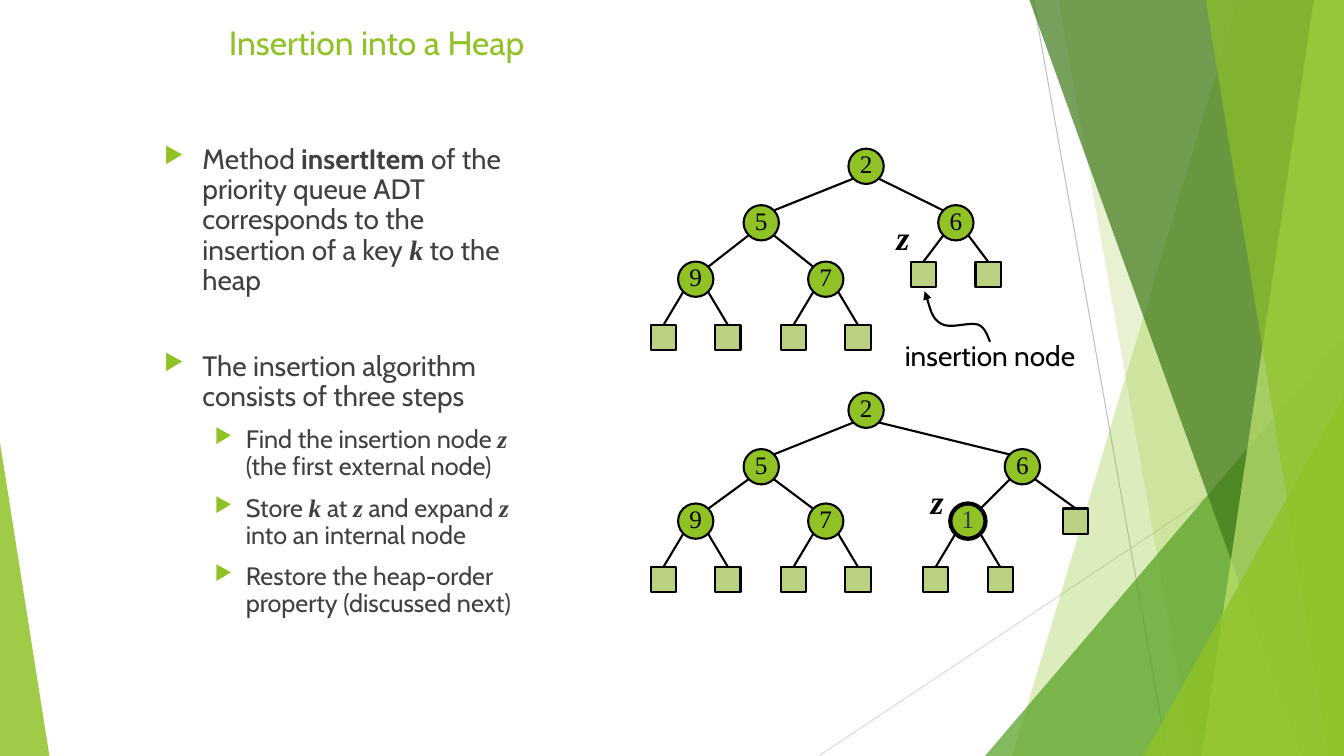
from dataclasses import dataclass, field

from lxml import etree
from pptx import Presentation
from pptx import util as u
from pptx.dml import color
from pptx.enum import shapes, text
from pptx.oxml import ns

SANS, SERIF = "Cabin", "Times New Roman"
GREEN, LEAF, BLACK, GREY = "90C226", "B9D181", "000000", "404040"
CIRCLE, SQUARE, REACH = 0.35, 0.25, 0.12
SPREAD = 0.32
PLAIN = {"name": SANS, "bold": False, "italic": False}
BOLD = {"name": SANS, "bold": True, "italic": False}
SYMBOL = {"name": SERIF, "bold": True, "italic": True}

FACETS = [
    ([(12.28, 0), (13.33, 0), (13.33, 7.5), (10.04, 7.5)], GREEN, 30),
    ([(10.5, 0), (13.33, 0), (13.33, 7.5), (11.83, 7.5)], GREEN, 20),
    ((9.77, 3.33, 3.56, 4.17, 1), "54A021", 72),
    ([(10.21, 0), (13.33, 0), (13.33, 7.5), (12.91, 7.5)], "3F7819", 70),
    ([(13.03, 0), (13.33, 0), (13.33, 7.5), (11.92, 7.5)], "C0E474", 70),
    ([(11.96, 0), (13.33, 0), (13.33, 7.5), (13.18, 7.5)], GREEN, 65),
    ((11.34, 3.93, 1.99, 3.57, 1), GREEN, 80),
    ((0, 4.39, 0.49, 3.11, 0), GREEN, 85),
]
STEPS = [
    (0, 0, [("Method ", PLAIN), ("insertItem", BOLD),
            (" of the priority queue ADT corresponds to the insertion of a key ", PLAIN),
            ("k", SYMBOL), (" to the heap", PLAIN)]),
    (0, 40, [("The insertion algorithm consists of three steps", PLAIN)]),
    (1, 10, [("Find the insertion node ", PLAIN), ("z", SYMBOL),
             (" (the first external node)", PLAIN)]),
    (1, 10, [("Store ", PLAIN), ("k", SYMBOL), (" at ", PLAIN), ("z", SYMBOL),
             (" and expand ", PLAIN), ("z ", SYMBOL), ("into an internal node", PLAIN)]),
    (1, 10, [("Restore the heap-order property (discussed next)", PLAIN)]),
]
LEVELS = [(20, 0.38, -0.38), (18, 0.81, -0.31)]
ARROW = [(9.82, 3.39), (9.8, 3.36), (9.78, 3.25), (9.7, 3.22), (9.61, 3.19),
         (9.42, 3.27), (9.33, 3.21), (9.24, 3.16), (9.2, 2.96), (9.17, 2.89)]


@dataclass
class Node:
    """A heap node by its centre; a node without a key is external."""
    key: str
    x: float
    y: float
    children: list = field(default_factory=list)
    ring: float = 1.5
    ink: str = BLACK


def rgb(value):
    """Turn a hex string into a colour."""
    return color.RGBColor.from_string(value)


def assign(target, values):
    """Set each attribute in values on target."""
    for name, value in values.items():
        setattr(target, name, value)


def inches(*lengths):
    """Convert several lengths."""
    return [u.Inches(length) for length in lengths]


def add_span(para, words, size, ink, style):
    """Add one formatted run."""
    span = para.add_run()
    span.text = words
    assign(span.font, {"size": u.Pt(size), **style})
    span.font.color.rgb = rgb(ink)


def paint(shape, fill, line=None, width=1.5, opacity=100):
    """Give a shape a flat fill and an optional outline."""
    shape.shadow.inherit = False
    shape.fill.solid()
    shape.fill.fore_color.rgb = rgb(fill)
    if opacity < 100:
        tint = shape._element.spPr.find(ns.qn("a:solidFill"))[0]
        etree.SubElement(tint, ns.qn("a:alpha"), val=str(opacity * 1000))
    if line:
        shape.line.color.rgb = rgb(line)
        shape.line.width = u.Pt(width)
    else:
        shape.line.fill.background()


def add_line(page, start, end, ink=BLACK, width=1.5):
    """Draw a straight line without shadow."""
    line = page.shapes.add_connector(shapes.MSO_CONNECTOR.STRAIGHT, *inches(*start, *end))
    line.line.color.rgb = rgb(ink)
    line.line.width = u.Pt(width)
    etree.SubElement(line._element.spPr, ns.qn("a:effectLst"))
    return line


def outline(page, points, close):
    """Build a freeform through the points."""
    corners = [inches(*point) for point in points]
    builder = page.shapes.build_freeform(*corners[0])
    builder.add_line_segments(corners[1:], close=close)
    return builder.convert_to_shape()


def add_facet(page, form, fill, opacity):
    """Draw a translucent triangle or polygon of the backdrop."""
    if isinstance(form, tuple):
        *place, apex = form
        facet = page.shapes.add_shape(shapes.MSO_SHAPE.ISOSCELES_TRIANGLE, *inches(*place))
        facet.adjustments[0] = apex
    else:
        facet = outline(page, form, True)
    paint(facet, fill, opacity=opacity)


def add_curved_arrow(page, points):
    """Draw a Bezier arrow through one start and triples of points."""
    arrow = outline(page, points, False)
    arrow.shadow.inherit = False
    arrow.fill.background()
    arrow.line.color.rgb = rgb(BLACK)
    arrow.line.width = u.Pt(1.5)
    props = arrow._element.spPr
    etree.SubElement(props.find(ns.qn("a:ln")), ns.qn("a:tailEnd"), type="triangle")
    segments = list(props.iter(ns.qn("a:lnTo")))
    track = segments[0].getparent()
    for first in range(0, len(segments), 3):
        curve = etree.SubElement(track, ns.qn("a:cubicBezTo"))
        for segment in segments[first:first + 3]:
            curve.append(segment[0])
            track.remove(segment)


def add_node(page, node):
    """Draw a node and, below it, its children with their edges."""
    kind, side, fill = ((shapes.MSO_SHAPE.OVAL, CIRCLE, GREEN) if node.key
                        else (shapes.MSO_SHAPE.RECTANGLE, SQUARE, LEAF))
    shape = page.shapes.add_shape(
        kind, *inches(node.x - side / 2, node.y - side / 2, side, side))
    paint(shape, fill, BLACK, node.ring)
    if node.key:
        frame = shape.text_frame
        assign(frame, {"margin_left": 0, "margin_right": 0, "margin_top": 0,
                       "margin_bottom": u.Inches(0.05), "word_wrap": False,
                       "vertical_anchor": text.MSO_ANCHOR.MIDDLE})
        para = frame.paragraphs[0]
        para.alignment = text.PP_ALIGN.CENTER
        add_span(para, node.key, 18, node.ink, {"name": SERIF})
    for child in node.children:
        shift = REACH if child.x > node.x else -REACH
        edge = add_line(page, (node.x + shift, node.y + REACH),
                        (child.x - shift, child.y - REACH))
        target = add_node(page, child)
        if not child.key:
            edge.end_connect(target, 0)
    return shape


def external_pair(x, y):
    """Make the two external children of a node at x."""
    return [Node("", x - SPREAD, y), Node("", x + SPREAD, y)]


def left_subtree(top, middle, bottom):
    """Make the subtree of key 5 that both heaps share."""
    return Node("5", 7.55, top, [Node(key, x, middle, external_pair(x, bottom))
                                 for key, x in (("9", 6.9), ("7", 8.19))])


def add_label(page, place, words, size, style):
    """Add a centred one-line label."""
    frame = page.shapes.add_textbox(*inches(*place)).text_frame
    frame.word_wrap = False
    para = frame.paragraphs[0]
    para.alignment = text.PP_ALIGN.CENTER
    add_span(para, words, size, BLACK, style)


def add_title(page, words):
    """Place and format the title."""
    title = page.shapes.title
    assign(title, dict(zip(("left", "top", "width", "height"), inches(2.17, 0.17, 8.83, 1))))
    assign(title.text_frame, {"vertical_anchor": text.MSO_ANCHOR.TOP, "word_wrap": True,
                              "auto_size": text.MSO_AUTO_SIZE.NONE})
    para = title.text_frame.paragraphs[0]
    para.alignment = text.PP_ALIGN.LEFT
    add_span(para, words, 24, GREEN, PLAIN)


def add_bullets(page, items):
    """Add the two-level bulleted text."""
    frame = page.shapes.add_textbox(*inches(1.53, 1.39, 3.83, 5.08)).text_frame
    frame.word_wrap = True
    for index, (level, before, spans) in enumerate(items):
        para = frame.add_paragraph() if index else frame.paragraphs[0]
        size, margin, indent = LEVELS[level]
        assign(para, {"level": level, "line_spacing": 0.9, "space_before": u.Pt(before)})
        props = para._p.get_or_add_pPr()
        props.set("marL", str(u.Inches(margin)))
        props.set("indent", str(u.Inches(indent)))
        tint = etree.SubElement(props, ns.qn("a:buClr"))
        etree.SubElement(tint, ns.qn("a:srgbClr"), val=GREEN)
        etree.SubElement(props, ns.qn("a:buSzPct"), val="80000")
        etree.SubElement(props, ns.qn("a:buChar"), char="▶")
        for words, style in spans:
            add_span(para, words, size, GREY, style)


def main():
    """Build the slide and save it."""
    deck = Presentation()
    assign(deck, {"slide_width": u.Inches(13.33), "slide_height": u.Inches(7.5)})
    page = deck.slides.add_slide(deck.slide_layouts[5])
    add_line(page, (10.25, 0), (11.58, 7.5), "BFBFBF", 0.75)
    add_line(page, (13.33, 4.03), (8.12, 7.5), "D9D9D9", 0.75)
    for facet in FACETS:
        add_facet(page, *facet)
    add_title(page, "Insertion into a Heap")
    add_bullets(page, STEPS)
    add_node(page, Node("2", 8.59, 1.65, [
        left_subtree(2.21, 2.77, 3.35), Node("6", 9.48, 2.21, external_pair(9.48, 2.72))]))
    inserted = Node("1", 9.6, 5.17, external_pair(9.6, 5.75), 3, "2C3C43")
    add_node(page, Node("2", 8.59, 4.07, [
        left_subtree(4.63, 5.17, 5.75),
        Node("6", 10.14, 4.63, [inserted, Node("", 10.67, 5.17)])]))
    add_curved_arrow(page, ARROW)
    add_label(page, (8.85, 3.31, 1.94, 0.43), "insertion node", 20, PLAIN)
    for place in ((8.79, 2.1, 0.33, 0.5), (9.13, 4.72, 0.33, 0.5)):
        add_label(page, place, "z", 24, SYMBOL)
    deck.save("out.pptx")


if __name__ == "__main__":
    main()
